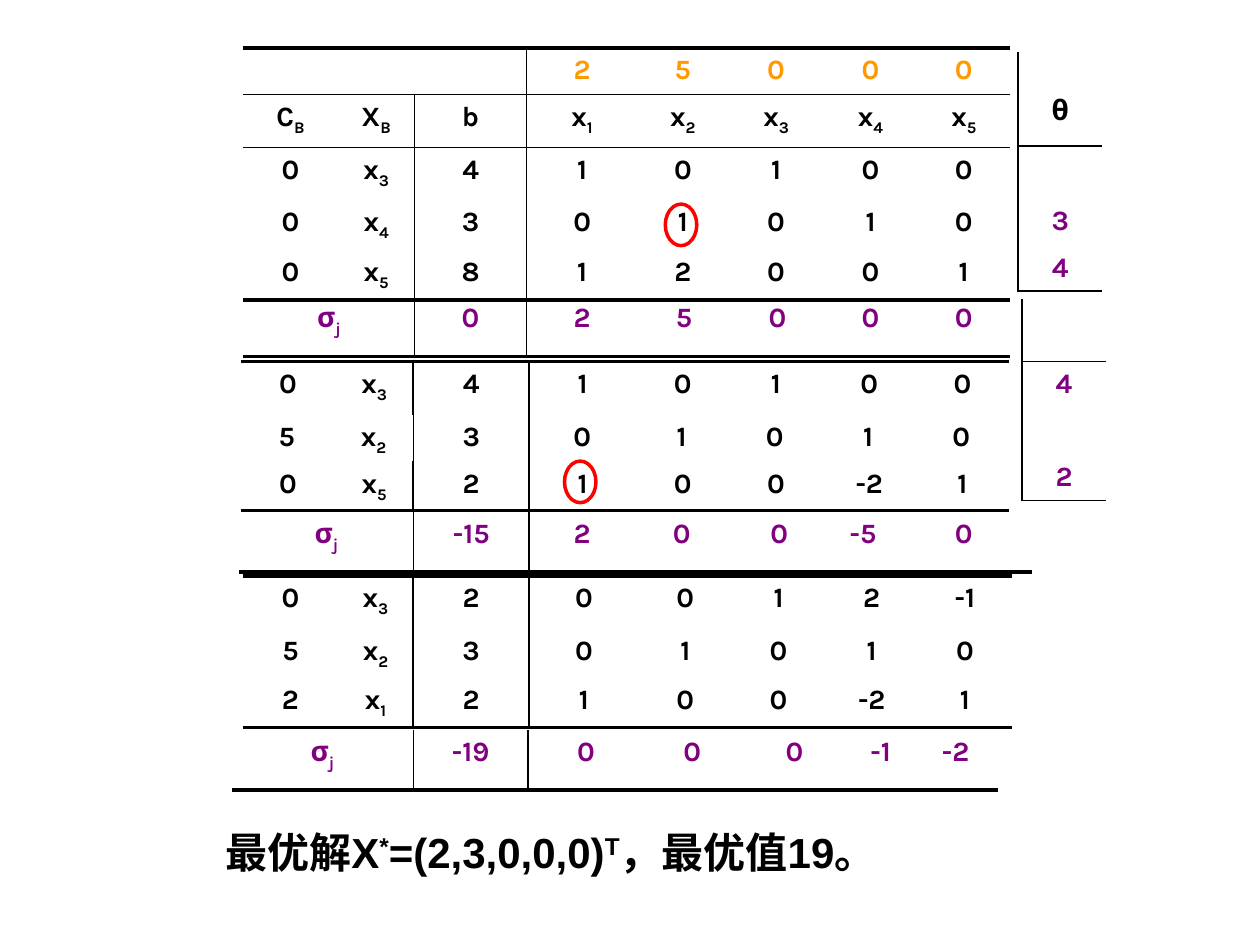
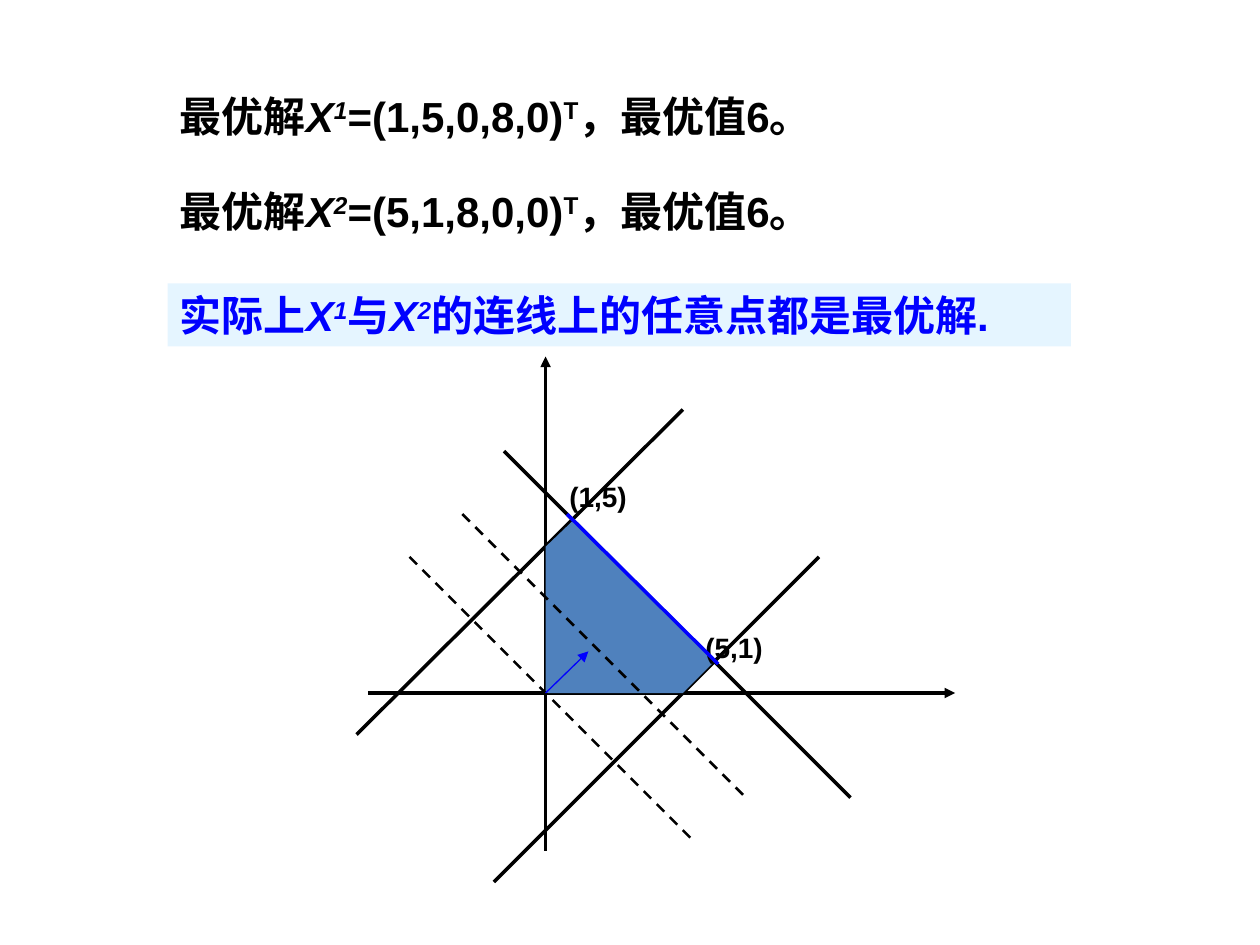
from dataclasses import dataclass

from lxml import etree
from pptx import Presentation
from pptx import util as u
from pptx.dml.color import RGBColor
from pptx.enum import dml, shapes, text
from pptx.oxml.ns import qn


@dataclass(frozen=True)
class Theme:
    black: str = "000000"
    cost: str = "FF9900"
    result: str = "800080"
    pivot: str = "FF0000"
    accent: str = "0000FF"
    band: str = "CCECFF"
    region: str = "4F81BD"
    table_font: str = "Karla"
    body_font: str = "Arial"
    small: int = 16
    large: int = 24
    thin: float = 1
    thick: float = 2.25


T = Theme()
I = u.Inches


def rgb(color):
    return RGBColor.from_string(color)


# ---- Shared text and line helpers ----
def write(p, pieces, size, font, color):
    """Add runs; each piece is (text, style), style may hold i, ^ and _."""
    for words, style in pieces:
        r = p.add_run()
        r.text = words
        f = r.font
        f.size, f.name, f.bold = u.Pt(size), font, True
        f.italic = "i" in style
        f.color.rgb = rgb(color)
        if "^" in style or "_" in style:
            r._r.get_or_add_rPr().set("baseline", "30000" if "^" in style else "-25000")


def text_box(s, left, top, width, height, pieces, size=T.large,
             anchor=text.MSO_ANCHOR.TOP):
    tf = s.shapes.add_textbox(I(left), I(top), I(width), I(height)).text_frame
    tf.word_wrap = True
    tf.auto_size = text.MSO_AUTO_SIZE.SHAPE_TO_FIT_TEXT
    tf.vertical_anchor = anchor
    write(tf.paragraphs[0], pieces, size, T.body_font, T.black)


def solution(mark, values, optimum, style=""):
    """Pieces of a sentence that states an optimal solution."""
    return [("最优解", ""), ("X", style), (mark, style + "^"), (f"=({values})", ""),
            ("T", "^"), (f"，最优值{optimum}。", "")]


def line(s, start, end, color=T.black, width=2.0, dash=False, arrow=False):
    c = s.shapes.add_connector(shapes.MSO_CONNECTOR.STRAIGHT,
                               *(I(v) for v in (*start, *end)))
    c.line.color.rgb = rgb(color)
    c.line.width = u.Pt(width)
    if dash:
        c.line.dash_style = dml.MSO_LINE.DASH
    if arrow:
        etree.SubElement(c.line._get_or_add_ln(), qn("a:tailEnd"), type="triangle")
    etree.SubElement(c._element.spPr, qn("a:effectLst"))


# ---- Simplex tables ----
def set_borders(cell, weights):
    """Weights run left, right, top, bottom; zero means no line."""
    tcPr = cell._tc.get_or_add_tcPr()
    for n, (side, weight) in enumerate(zip("LRTB", weights)):
        ln = etree.Element(qn(f"a:ln{side}"), w=str(u.Pt(weight)))
        if weight:
            fill = etree.SubElement(ln, qn("a:solidFill"))
            etree.SubElement(fill, qn("a:srgbClr"), val=T.black)
        else:
            etree.SubElement(ln, qn("a:noFill"))
        tcPr.insert(n, ln)


def simplex_table(s, left, top, cols, heights, rows, rules, uprights,
                  colors=(), merge=0):
    """rules maps a row boundary to a weight; uprights are column boundaries."""
    frame = s.shapes.add_table(len(heights), len(cols), I(left), I(top),
                               I(sum(cols)), I(sum(heights)))
    tb = frame.table
    tb.first_row = tb.horz_banding = False
    for col, width in zip(tb.columns, cols):
        col.width = I(width)
    for row, height in zip(tb.rows, heights):
        row.height = I(height)
    if merge:
        tb.cell(0, 0).merge(tb.cell(0, merge - 1))
    for i, row in enumerate(rows):
        for j, words in enumerate(row):
            cell = tb.cell(i, j)
            cell.fill.background()
            if cell.is_spanned:
                set_borders(cell, [0] * 4)
            else:
                set_borders(cell, [T.thin * (j in uprights), T.thin * (j + 1 in uprights),
                                   rules.get(i, 0), rules.get(i + 1, 0)])
            p = cell.text_frame.paragraphs[0]
            p.alignment = text.PP_ALIGN.CENTER
            if words:
                base, _, sub = words.partition("_")
                pieces = [(base, "")] + ([(sub, "_")] if sub else [])
                write(p, pieces, T.small, T.table_font, colors[i] if colors else T.black)
            else:
                p._p.get_or_add_endParaRPr().set("sz", str(T.small * 100))
    return tb


def basis_row(s, left, top, height, row, rules):
    """One row of an iteration; the b column keeps its place for any left."""
    cols = [0.75, 2.53 - left, 0.92, left - 1.06] + [0.74] * 4
    simplex_table(s, left, top, cols, [height], [row.split()], rules, {2, 3})


def sigma_row(s, left, top, cols, row):
    simplex_table(s, left, top, cols, [0.48], [["σ_j"] + row.split()],
                  {1: T.thick}, {1, 2}, [T.result])


def pivot_ring(s, left, top):
    sp = s.shapes.add_shape(shapes.MSO_SHAPE.OVAL, I(left), I(top), I(0.25), I(0.33))
    sp.shadow.inherit = False
    sp.fill.background()
    sp.line.color.rgb = rgb(T.pivot)
    sp.line.width = u.Pt(2)


def first_tableau(s, left, top):
    rows = [["", "", "", "2", "5", "0", "0", "0"]] + [r.split() for r in (
        "C_B X_B b x_1 x_2 x_3 x_4 x_5",
        "0 x_3 4 1 0 1 0 0",
        "0 x_4 3 0 1 0 1 0",
        "0 x_5 8 1 2 0 0 1")]
    simplex_table(s, left, top, [0.75, 0.61, 0.89, 0.88, 0.72, 0.76, 0.74, 0.74],
                  [0.37, 0.42, 0.41, 0.4, 0.4], rows,
                  {0: T.thick, 1: T.thin, 2: T.thin, 5: T.thick}, {2, 3},
                  [T.cost] + [T.black] * 4, merge=3)
    sigma_row(s, left, top + 1.97, [1.36, 0.89, 0.88] + [0.74] * 4, "0 2 5 0 0 0")
    pivot_ring(s, left + 3.35, top + 1.24)


def iteration(s, top, lefts, offsets, rows):
    """Three basis rows, ruled above the first and below the last."""
    rules = ({0: T.thick}, {}, {1: T.thick})
    for left, dy, height, row, rule in zip(lefts, offsets, (0.42, 0.37, 0.37), rows, rules):
        basis_row(s, left, top + dy, height, row, rule)


def theta_column(s, left, top, heights, words, rules, colors):
    return simplex_table(s, left, top, [0.67], heights, [[w] for w in words],
                         rules, {0}, colors)


def simplex_slide(prs):
    s = prs.slides.add_slide(prs.slide_layouts[6])
    first_tableau(s, 1.93, 0.38)

    # Second tableau
    iteration(s, 2.87, (1.91, 1.9, 1.91), (0, 0.42, 0.79),
              ("0 x_3 4 1 0 1 0 0", "5 x_2 3 0 1 0 1 0", "0 x_5 2 1 0 0 -2 1"))
    sigma_row(s, 1.9, 4.06, [1.38, 0.92, 0.84, 0.74, 0.81, 0.52, 1.08], "-15 2 0 0 -5 0")
    pivot_ring(s, 4.48, 3.66)

    # Third tableau
    iteration(s, 4.57, (1.93, 1.93, 1.93), (0, 0.42, 0.81),
              ("0 x_3 2 0 0 1 2 -1", "5 x_2 3 0 1 0 1 0", "2 x_1 2 1 0 0 -2 1"))
    sigma_row(s, 1.84, 5.79, [1.44, 0.91, 0.92, 0.77, 0.85, 0.52, 0.67], "-19 0 0 0 -1 -2")

    # Ratio columns
    tb = theta_column(s, 8.08, 0.41, [0.75, 0.42, 0.37, 0.36], ["θ", "", "3", "4"],
                      {1: T.thin, 4: T.thin}, [T.black] + [T.result] * 3)
    tb.cell(0, 0).margin_top = I(0.34)
    theta_column(s, 8.11, 2.37, [0.5, 0.37, 0.37, 0.36], ["", "4", "", "2"],
                 {1: T.thin, 4: T.thin}, [T.result] * 4)

    text_box(s, 1.69, 6.51, 7.58, 0.5, solution("*", "2,3,0,0,0", 19))


# ---- Graphical solution ----
def conclusion_band(s, left, top, width, height):
    sp = s.shapes.add_shape(shapes.MSO_SHAPE.RECTANGLE, I(left), I(top), I(width), I(height))
    sp.shadow.inherit = False
    sp.line.fill.background()
    sp.fill.solid()
    sp.fill.fore_color.rgb = rgb(T.band)
    clr = sp._element.spPr.find(".//" + qn("a:srgbClr"))
    etree.SubElement(clr, qn("a:alpha"), val="50000")
    tf = sp.text_frame
    tf.word_wrap = True
    tf.vertical_anchor = text.MSO_ANCHOR.TOP
    p = tf.paragraphs[0]
    p.alignment = text.PP_ALIGN.LEFT
    write(p, [("实际上", ""), ("X", "i"), ("1", "i^"), ("与", ""), ("X", "i"), ("2", "i^"),
              ("的连线上的任意点都是最优解.", "")], T.large, T.body_font, T.accent)


def feasible_plot(s, left, top):
    """Draw the plot with its origin at left, top."""
    def at(x, y):
        return left + x, top + y

    # Axes
    line(s, at(-1.41, 0), at(3.25, 0), arrow=True)
    line(s, at(0, 1.25), at(0, -2.67), arrow=True)

    # Constraints
    for start, end in (((-1.5, 0.33), (1.09, -2.25)),
                       ((-0.41, 1.5), (2.17, -1.08)),
                       ((-0.33, -1.92), (2.42, 0.83))):
        line(s, at(*start), at(*end))

    # Feasible region
    corners = [tuple(I(v) for v in at(*xy)) for xy in
               ((0, 0), (0, -1.16), (0.23, -1.38), (1.34, -0.25), (1.09, 0))]
    fb = s.shapes.build_freeform(*corners[0])
    fb.add_line_segments(corners[1:], close=True)
    sp = fb.convert_to_shape()
    sp.shadow.inherit = False
    sp.fill.solid()
    sp.fill.fore_color.rgb = rgb(T.region)
    sp.line.fill.background()

    # Optimal vertices
    for words, x, y in (("(5,1)", 1.17, -0.55), ("(1,5)", 0.09, -1.75)):
        text_box(s, *at(x, y), 1.08, 0.37, [(words, "")], T.small,
                 text.MSO_ANCHOR.BOTTOM)

    # Optimal edge, objective levels and gradient
    line(s, at(0.17, -1.42), at(1.37, -0.23), T.accent)
    line(s, at(-1.08, -1.08), at(1.17, 1.17), width=1.5, dash=True)
    line(s, at(0, 0), at(0.34, -0.33), T.accent, 0.75, arrow=True)
    line(s, at(-0.66, -1.42), at(1.59, 0.83), width=1.5, dash=True)


def graph_slide(prs):
    s = prs.slides.add_slide(prs.slide_layouts[6])
    for n, values in enumerate(("1,5,0,8,0", "5,1,8,0,0")):
        text_box(s, 1.33, 0.67 + 0.75 * n, 7.58, 0.5,
                 solution(str(n + 1), values, 6, "i"))
    conclusion_band(s, 1.33, 2.25, 7.17, 0.5)
    feasible_plot(s, 4.33, 5.5)


def main():
    prs = Presentation()
    prs.slide_width, prs.slide_height = I(10), I(7.5)
    simplex_slide(prs)
    graph_slide(prs)
    prs.save("out.pptx")


if __name__ == "__main__":
    main()
